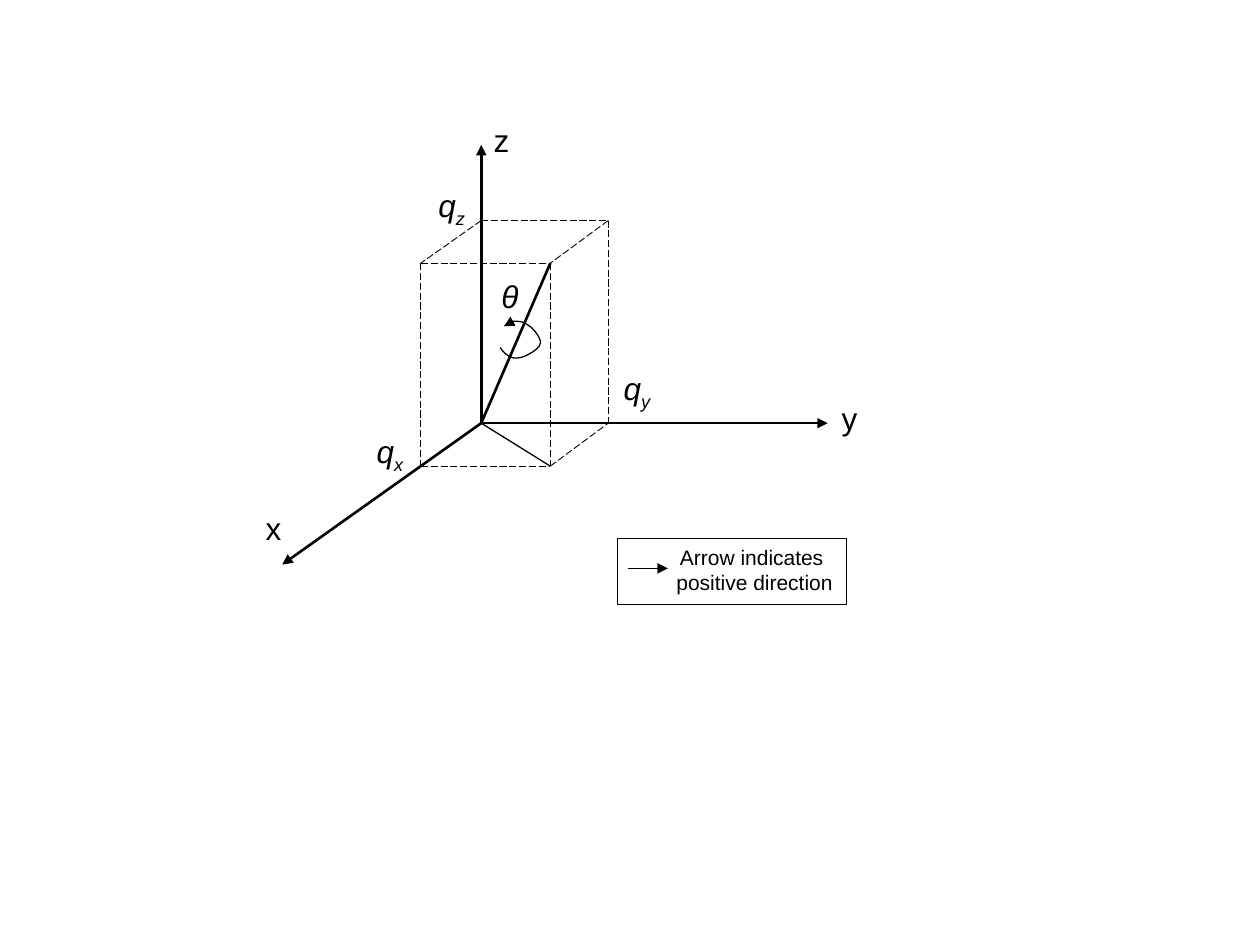
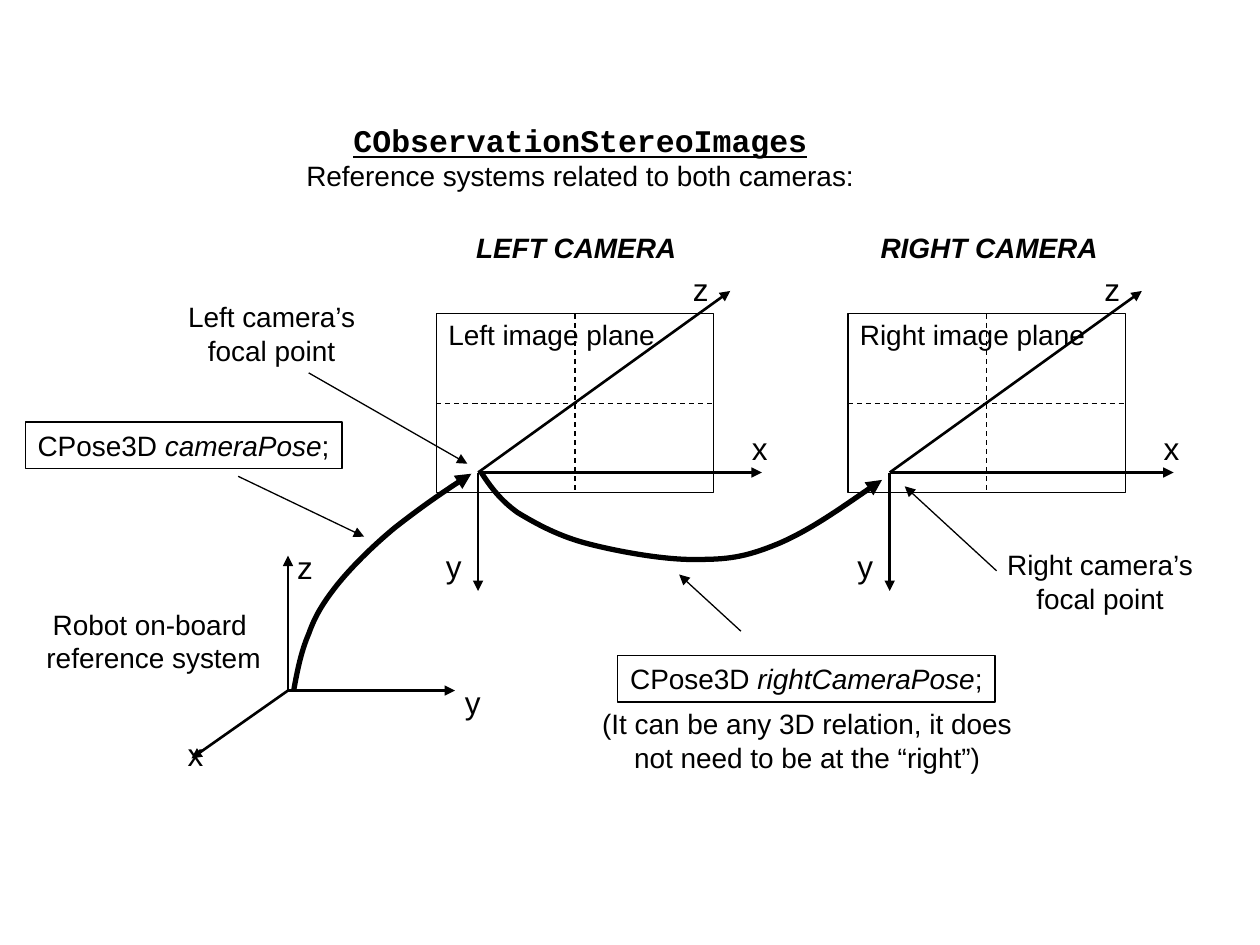
from lxml.etree import SubElement
from pptx import Presentation
from pptx.dml.color import RGBColor
from pptx.enum.dml import MSO_LINE
from pptx.enum.shapes import MSO_CONNECTOR, MSO_SHAPE
from pptx.enum.text import MSO_ANCHOR, MSO_AUTO_SIZE, PP_ALIGN
from pptx.oxml.ns import qn
from pptx.util import Pt

BLACK = RGBColor(0, 0, 0)
SANS, MONO = "Arial", "Courier New"
LEFT, MID = PP_ALIGN.LEFT, PP_ALIGN.CENTER
DASH, LONG = MSO_LINE.DASH, MSO_LINE.LONG_DASH
RECT, LINE = MSO_SHAPE.RECTANGLE, MSO_CONNECTOR.STRAIGHT
TOP, FIXED = MSO_ANCHOR.TOP, MSO_AUTO_SIZE.NONE
THIN, FINE, BOLD, THICK = 0.5, 0.75, 1.5, 3


def ink(shape, width, dash=None, arrow=False):
    shape.line.color.rgb = BLACK
    shape.line.width = Pt(width)
    if dash:
        shape.line.dash_style = dash
    props = shape._element.spPr
    if arrow:
        SubElement(props.find(qn("a:ln")), qn("a:tailEnd"), type="triangle")
    SubElement(props, qn("a:effectLst"))


def write(shape, align, rows):
    frame = shape.text_frame
    frame.word_wrap = False
    frame.auto_size = FIXED
    frame.vertical_anchor = TOP
    for n, row in enumerate(rows):
        para = frame.add_paragraph() if n else frame.paragraphs[0]
        para.alignment = align
        for text, size, style in row:
            run = para.add_run()
            run.text = text
            font = run.font
            font.name = MONO if "m" in style else SANS
            font.size = Pt(size)
            font.color.rgb = BLACK
            font.bold = "b" in style
            font.italic = "i" in style
            font.underline = "u" in style
            if "s" in style:
                run._r.get_or_add_rPr().set("baseline", "-25000")


prs = Presentation()
prs.slide_width, prs.slide_height = Pt(720), Pt(540)
turn = prs.slides.add_slide(prs.slide_layouts[6])
pair = prs.slides.add_slide(prs.slide_layouts[5])

head = pair.shapes.title
head.left, head.top, head.width, head.height = Pt(167.8), Pt(65.5), Pt(327.6), Pt(48.2)
write(head, MID, [
    [("CObservationStereoImages", 18, "mbu")],
    [("Reference systems related to both cameras:", 16, "")],
])

zero = (275, 241.8)
top = (275, 126)
back = (347.6, 126)
side = (347.6, 241.8)
near = (240.5, 150.4)
tip = (314.5, 150.4)
foot = (240.5, 266.4)
base = (314.5, 266.4)
edges = [
    (top, back), (top, near), (near, tip), (back, tip), (near, foot),
    (foot, base), (tip, base), (base, side), (back, side),
]
lines = [(turn, a, b, THIN, LONG, False) for a, b in edges]
lines += [
    (turn, zero, base, FINE, None, False),
    (turn, zero, tip, BOLD, None, False),
    (turn, (358.6, 324.8), (381.6, 324.8), FINE, None, True),
    (pair, (136.1, 272.2), (208.1, 306.7), FINE, None, True),
    (pair, (176.4, 213.1), (267.1, 265), FINE, None, True),
    (pair, (569.5, 326.2), (517, 277.9), FINE, None, True),
    (pair, (423.4, 360.7), (388.1, 328.3), FINE, None, True),
]

axes = [
    (turn, zero, [
        ("z", (275, 82.8), (275, 65.5)),
        ("y", (473, 241.8), (473.8, 224.6)),
        ("x", (161.3, 322.6), (144.7, 287.3)),
    ]),
    (pair, (164.6, 394.6), [
        ("z", (164.6, 317.5), (162.7, 309.6)),
        ("y", (260, 394.6), (258.5, 386.6)),
        ("x", (109.4, 433.4), (100.1, 416.2)),
    ]),
]
texts = []
STEP = 235.2
views = [("Left", 132.5, 265, 128.9), ("Right", 142.6, 496.1, 138.2)]
for n, (name, wide, start, span) in enumerate(views):
    dx = n * STEP
    axes.append((pair, (273.2 + dx, 270), [
        ("y", (273.2 + dx, 337.7), (247.7 + dx, 308.9)),
        ("x", (435.4 + dx, 270), (422.6 + dx, 241.9)),
        ("z", (417.3 + dx, 166.3), (388.8 + dx, 150.5)),
    ]))
    plane = pair.shapes.add_shape(RECT, Pt(249.3 + dx), Pt(179.3), Pt(158.6), Pt(102.2))
    plane.fill.background()
    ink(plane, FINE)
    for a, b in ((1, 3), (0, 2)):
        cross = pair.shapes.add_connector(LINE, 0, 0, 0, 0)
        cross.begin_connect(plane, a)
        cross.end_connect(plane, b)
        ink(cross, FINE, DASH)
    texts += [
        (pair, 249.1 + dx, 177.8, wide, 26.6, LEFT, [[(f"{name} image plane", 16, "")]]),
        (pair, start, 128.2, span, 26.6, LEFT, [[(f"{name.upper()} CAMERA", 16, "bi")]]),
    ]

for page, start, arms in axes:
    for name, end, spot in arms:
        lines.append((page, start, end, BOLD, None, True))
        texts.append((page, *spot, 23, 28.8, LEFT, [[(name, 18, "")]]))

for page, a, b, width, dash, arrow in lines:
    rule = page.shapes.add_connector(LINE, Pt(a[0]), Pt(a[1]), Pt(b[0]), Pt(b[1]))
    ink(rule, width, dash, arrow)

curves = [
    (turn, FINE, [
        (285.8, 198.7), (288, 201.6), (290.2, 203.8), (293, 204.5),
        (295.9, 205.2), (300.2, 203.8), (302.4, 202.3),
        (305.3, 200.9), (308.9, 198), (308.9, 195.8),
        (308.9, 193), (304.6, 187.2), (301.7, 185.8),
        (299.5, 183.6), (295.9, 183.6), (293.8, 183.6),
        (290.9, 183.6), (289.4, 185), (288, 186.5),
    ]),
    (pair, THICK, [
        (167.8, 394.6), (169.9, 383), (172.1, 372.2), (176.4, 362.2),
        (180, 352.1), (184.3, 344.9), (192.2, 334.8),
        (200.2, 324.7), (212.4, 312.5), (225.4, 301.7),
        (238.3, 291.6), (253.4, 280.8), (269.3, 270.7),
    ]),
    (pair, THICK, [
        (275, 270), (280.1, 277.9), (285.8, 285.8), (295.9, 293),
        (306.7, 299.5), (319.7, 306.7), (337, 311),
        (354.2, 315.4), (381.6, 320.4), (400.3, 319.7),
        (418.3, 319.7), (428.4, 317.5), (445.7, 310.3),
        (463.7, 302.4), (483.8, 288), (504, 274.3),
    ]),
]
for page, width, dots in curves:
    dots = [(Pt(x), Pt(y)) for x, y in dots]
    pen = page.shapes.build_freeform(*dots[0])
    pen.add_line_segments(dots[1:], close=False)
    curve = pen.convert_to_shape()
    curve.fill.background()
    ink(curve, width, None, True)
    track = next(curve._element.iter(qn("a:path")))
    legs = track.findall(qn("a:lnTo"))
    for n in range(0, len(legs), 3):
        bend = SubElement(track, qn("a:cubicBezTo"))
        for leg in legs[n:n + 3]:
            bend.append(leg[0])
            track.remove(leg)

for name, x, y in (("y", 349.2, 207.4), ("x", 208.1, 243.4), ("z", 243.4, 103)):
    texts.append((turn, x, y, 29.5, 31.7, LEFT, [[("q", 18, "i"), (name, 18, "is")]]))
texts += [
    (turn, 279.4, 154.8, 23.8, 28.8, LEFT, [[("θ", 18, "i")]]),
    (turn, 379.4, 307.4, 103.7, 36, MID,
     [[("Arrow indicates ", 12, "")], [("positive direction", 12, "")]]),
    (pair, 19.4, 343.4, 136.8, 46.1, MID,
     [[("Robot on-board ", 16, "")], [("reference system", 16, "")]]),
    (pair, 100.1, 167.8, 110.2, 46.1, MID,
     [[("Left camera’s", 16, "")], [("focal point", 16, "")]]),
    (pair, 568.1, 309.6, 121, 46.1, MID,
     [[("Right camera’s", 16, "")], [("focal point", 16, "")]]),
    (pair, 337, 400.3, 248.4, 46.1, MID,
     [[("(It can be any 3D relation, it does", 16, "")],
      [("not need to be at the “right”)", 16, "")]]),
]
for page, x, y, w, h, align, rows in texts:
    label = page.shapes.add_textbox(Pt(x), Pt(y), Pt(w), Pt(h))
    write(label, align, rows)

boxes = [
    (turn, 352.8, 307.6, 131, 38, LEFT, []),
    (pair, 14.4, 241.2, 181, 26.6, LEFT,
     [[("CPose3D ", 16, ""), ("cameraPose", 16, "i"), (";", 16, "")]]),
    (pair, 353, 374.6, 215.6, 26.6, MID,
     [[("CPose3D ", 16, ""), ("rightCameraPose", 16, "i"), (";", 16, "")]]),
]
for page, x, y, w, h, align, rows in boxes:
    box = page.shapes.add_shape(RECT, Pt(x), Pt(y), Pt(w), Pt(h))
    box.fill.background()
    ink(box, FINE)
    write(box, align, rows)

prs.save("out.pptx")
